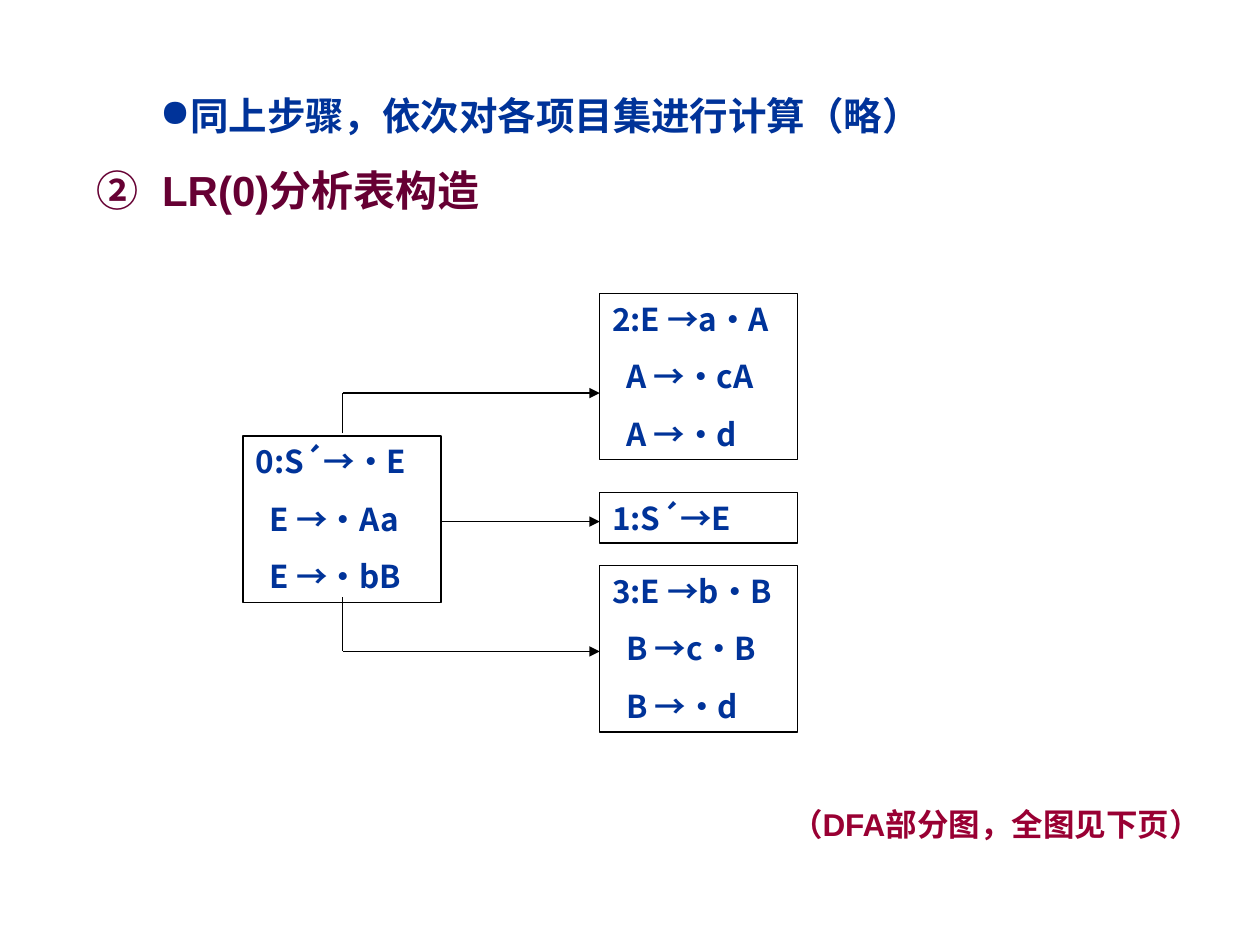
from lxml import etree
from pptx import Presentation
from pptx import util as u
from pptx.dml.color import RGBColor
from pptx.enum import shapes, text
from pptx.oxml.ns import qn

Inches, Pt = u.Inches, u.Pt
COLORS = {"blue": "003399", "plum": "660033", "red": "990033", "black": "000000"}
LATIN, CHINESE = "Arial", "Noto Sans CJK SC"


def format_run(run, size, font, color):
    run.font.size = Pt(size)
    run.font.bold = True
    run.font.name = font
    run.font.color.rgb = RGBColor.from_string(COLORS[color])
    if font == CHINESE:
        etree.SubElement(run._r.get_or_add_rPr(), qn("a:ea"), typeface=font)


def add_line(start, end, arrow):
    line = slide.shapes.add_connector(
        shapes.MSO_CONNECTOR.STRAIGHT, *(Inches(value) for value in start + end))
    line.line.color.rgb = RGBColor.from_string(COLORS["black"])
    line.line.width = Pt(0.75)
    if arrow:
        etree.SubElement(line.line._get_or_add_ln(), qn("a:tailEnd"), type="triangle")
    etree.SubElement(line._element.spPr, qn("a:effectLst"))


presentation = Presentation()
presentation.slide_width = Inches(10)
presentation.slide_height = Inches(7.5)
slide = presentation.slides.add_slide(presentation.slide_layouts[6])

# Heading: bulleted step, then the numbered section title
heading = slide.shapes.add_textbox(Inches(0.67), Inches(0.68), Inches(8.74), Inches(1.08))
frame = heading.text_frame
frame.word_wrap = True
step = frame.paragraphs[0]
step.text = "同上步骤，依次对各项目集进行计算（略）"
step.space_before = Pt(13.8)
format_run(step.runs[0], 22, LATIN, "blue")
properties = step._p.get_or_add_pPr()
properties.set("marL", str(Inches(0.5)))
properties.set("indent", "0")
bullet_color = etree.SubElement(properties, qn("a:buClr"))
etree.SubElement(bullet_color, qn("a:srgbClr"), val=COLORS["blue"])
etree.SubElement(properties, qn("a:buChar"), char="●")

title = frame.add_paragraph()
title.space_before = Pt(15)
for words, font in (("②", CHINESE), ("  LR(0)分析表构造", LATIN)):
    run = title.add_run()
    run.text = words
    format_run(run, 24, font, "plum")

# Item sets of the automaton: left, top, height, items
BOX_WIDTH = 1.57
LEFT, RIGHT = 1.93, 4.76
item_sets = [
    (LEFT, 3.46, 1.32, ["0:S´→·E", "  E →·Aa", "  E →·bB"]),
    (RIGHT, 4.49, 1.32, ["3:E →b·B", "  B →c·B", "  B →·d"]),
    (RIGHT, 2.33, 1.32, ["2:E →a·A", "  A →·cA", "  A →·d"]),
    (RIGHT, 3.91, 0.4, ["1:S´→E"]),
]
for left, top, height, items in item_sets:
    box = slide.shapes.add_shape(
        shapes.MSO_SHAPE.RECTANGLE,
        Inches(left), Inches(top), Inches(BOX_WIDTH), Inches(height))
    box.shadow.inherit = False
    box.fill.background()
    box.line.color.rgb = RGBColor.from_string(COLORS["black"])
    box.line.width = Pt(0.75)
    frame = box.text_frame
    frame.word_wrap = True
    frame.vertical_anchor = text.MSO_ANCHOR.TOP
    frame.text = "\n".join(items)
    for paragraph in frame.paragraphs:
        paragraph.alignment = text.PP_ALIGN.LEFT
        paragraph.space_before = Pt(11.2)
        format_run(paragraph.runs[0], 18, CHINESE, "blue")

# Transitions from item set 0
STEM = 2.72
add_line((LEFT + BOX_WIDTH, 4.14), (RIGHT, 4.14), True)
for box_edge, level in ((3.44, 3.12), (4.74, 5.17)):
    add_line((STEM, box_edge), (STEM, level), False)
    add_line((STEM, level), (RIGHT, level), True)

# Closing remark
remark = slide.shapes.add_textbox(Inches(6.18), Inches(6.34), Inches(3.54), Inches(0.7))
remark.text_frame.word_wrap = True
remark.text_frame.text = "（DFA部分图，全图见下页）"
paragraph = remark.text_frame.paragraphs[0]
paragraph.space_before = Pt(11.2)
format_run(paragraph.runs[0], 18, LATIN, "red")

presentation.save("out.pptx")
